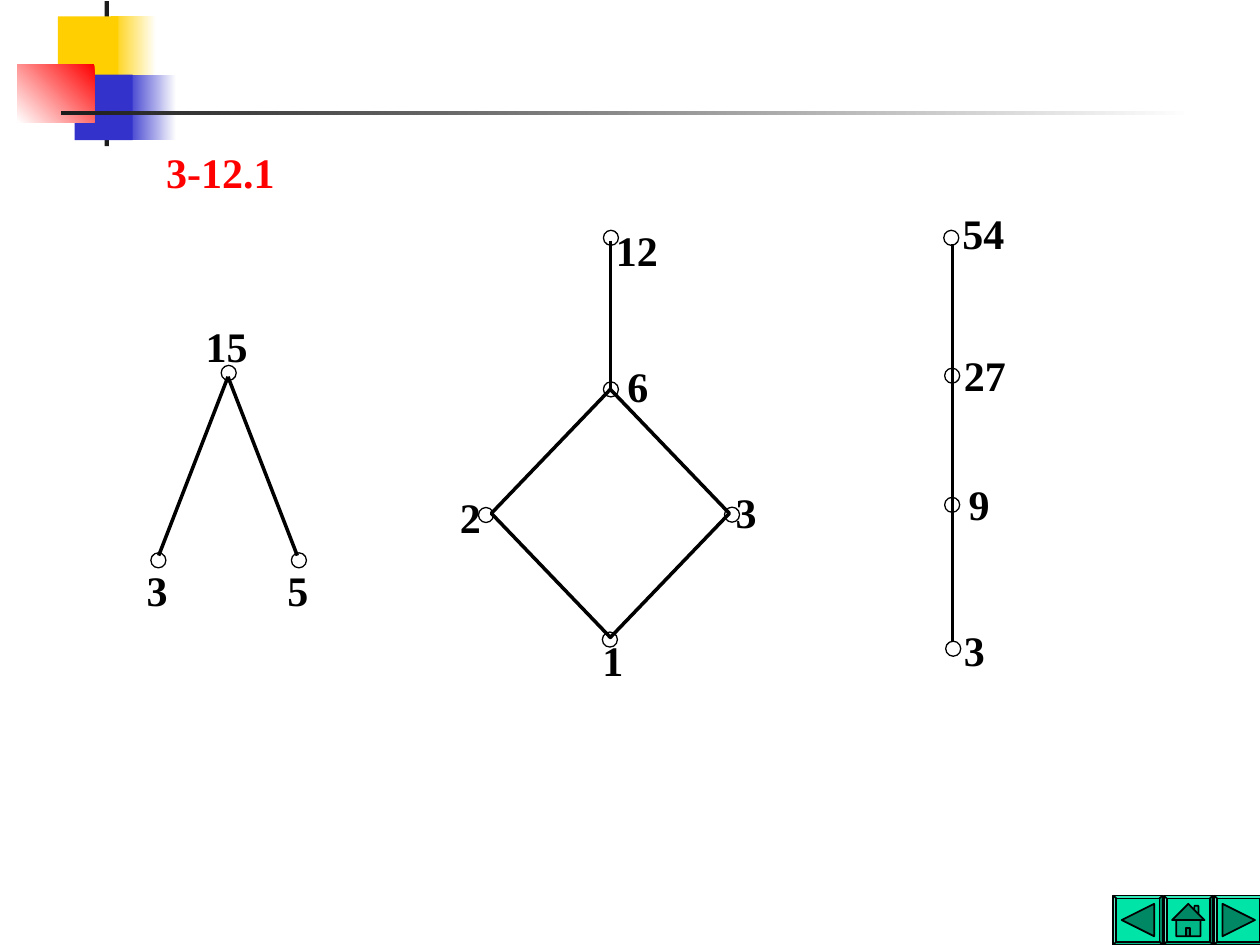
from lxml import etree
from pptx import Presentation
from pptx.dml.color import RGBColor
from pptx.enum import shapes, text
from pptx.oxml.ns import qn
from pptx.util import Pt

BLACK = RGBColor(0x00, 0x00, 0x00)
WHITE = RGBColor(0xFF, 0xFF, 0xFF)
RED = RGBColor(0xFF, 0x00, 0x00)
YELLOW = RGBColor(0xFF, 0xCF, 0x01)
BLUE = RGBColor(0x33, 0x33, 0xCC)
CHARCOAL = RGBColor(0x1C, 0x1C, 0x1C)
GREEN = RGBColor(0x00, 0xE4, 0xA8)
KIND = shapes.MSO_SHAPE

deck = Presentation()
deck.slide_width, deck.slide_height = Pt(720), Pt(540)
page = deck.slides.add_slide(deck.slide_layouts[5])


def add_outlined(kind, left, top, width, height, weight):
    shape = page.shapes.add_shape(kind, Pt(left), Pt(top), Pt(width), Pt(height))
    shape.shadow.inherit = False
    shape.fill.background()
    shape.line.color.rgb = BLACK
    shape.line.width = Pt(weight)
    return shape


def style_text(box, size, color):
    para = box.text_frame.paragraphs[0]
    span = para.runs[0]
    span.font.name = "Times New Roman"
    span.font.size = Pt(size)
    span.font.bold = True
    span.font.color.rgb = color
    return para


ornaments = [
    (63.4, 9.4, 25.9, 37.4, YELLOW, WHITE, 0),
    (72, 42.7, 28.8, 37.4, BLUE, WHITE, 0),
    (59.8, 0.7, 2.5, 82.8, CHARCOAL, None, 0),
    (33.1, 9.4, 34.6, 37.4, YELLOW, None, 0),
    (42.7, 42.7, 33.1, 37.4, BLUE, None, 0),
    (10, 36.7, 44, 33.1, RED, WHITE, 225),
    (34.6, 63.4, 648, 2.2, CHARCOAL, WHITE, 0),
]
for left, top, width, height, start, end, angle in ornaments:
    ornament = add_outlined(KIND.RECTANGLE, left, top, width, height, 1)
    ornament.line.fill.background()
    if end is None:
        ornament.fill.solid()
        ornament.fill.fore_color.rgb = start
    else:
        ornament.fill.gradient()
        ornament.fill.gradient_angle = angle
        ornament.fill.gradient_stops[0].color.rgb = start
        ornament.fill.gradient_stops[1].color.rgb = end

button_kinds = [
    KIND.ACTION_BUTTON_BACK_OR_PREVIOUS,
    KIND.ACTION_BUTTON_HOME,
    KIND.ACTION_BUTTON_FORWARD_OR_NEXT,
]
for index, kind in enumerate(button_kinds):
    left, top = 636.2 + 28.8 * index, 511.7
    frame = add_outlined(KIND.BEVEL, left, top, 28.1, 28.1, 1)
    frame.adjustments[0] = 0.06
    button = add_outlined(kind, left + 1.7, top + 1.7, 24.7, 24.7, 1)
    for shape in (frame, button):
        shape.fill.solid()
        shape.fill.fore_color.rgb = GREEN

title = page.shapes.title
title.left, title.top, title.width, title.height = Pt(87.8), Pt(71.3), Pt(521.3), Pt(44.6)
title.text_frame.text = "3-12.1"
title.text_frame.auto_size = text.MSO_AUTO_SIZE.NONE
title.text_frame.vertical_anchor = text.MSO_ANCHOR.TOP
heading = style_text(title, 24, RED)
heading.alignment = text.PP_ALIGN.LEFT
heading.line_spacing = 1.3

diamond = add_outlined(KIND.DIAMOND, 280.8, 222.5, 136, 141.8, 2)

edges = [
    (544.3, 139.7, 544.3, 366.5, None),
    (130.3, 215.3, 169.9, 317.5, None),
    (130.3, 215.3, 90.7, 317.5, None),
    (348.8, 137.5, 348.8, 222.5, diamond),
]
for x1, y1, x2, y2, target in edges:
    edge = page.shapes.add_connector(
        shapes.MSO_CONNECTOR.STRAIGHT, Pt(x1), Pt(y1), Pt(x2), Pt(y2))
    if target is not None:
        edge.end_connect(target, 0)
    edge.line.color.rgb = BLACK
    edge.line.width = Pt(2)
    etree.SubElement(edge._element.spPr, qn("a:effectLst"))

nodes = [
    ("54", 539.3, 131.6, 542.7, 115.2),
    ("27", 539.8, 210.4, 543.6, 196.4),
    ("9", 539.8, 284.2, 546.2, 270),
    ("3", 540.4, 366.4, 543.6, 353.2),
    ("15", 126.4, 208.8, 110.3, 179.6),
    ("3", 86.2, 315.9, 76.5, 319),
    ("5", 166.5, 315.9, 157, 319),
    ("12", 344.8, 131.6, 344.7, 124.6),
    ("6", 344.8, 218.2, 351.2, 202.3),
    ("2", 273.4, 290, 255.6, 277.2),
    ("3", 414, 289.8, 413.1, 274.3),
    ("1", 344.2, 361.2, 337, 358.9),
]
for label, left, top, label_left, label_top in nodes:
    add_outlined(KIND.OVAL, left, top, 8.6, 8.6, 0.75)
    box = page.shapes.add_textbox(
        Pt(label_left), Pt(label_top), Pt(14.5 + 12 * len(label)), Pt(36))
    box.text_frame.text = label
    box.text_frame.word_wrap = False
    box.text_frame.auto_size = text.MSO_AUTO_SIZE.SHAPE_TO_FIT_TEXT
    style_text(box, 24, BLACK).alignment = text.PP_ALIGN.CENTER

deck.save("out.pptx")
